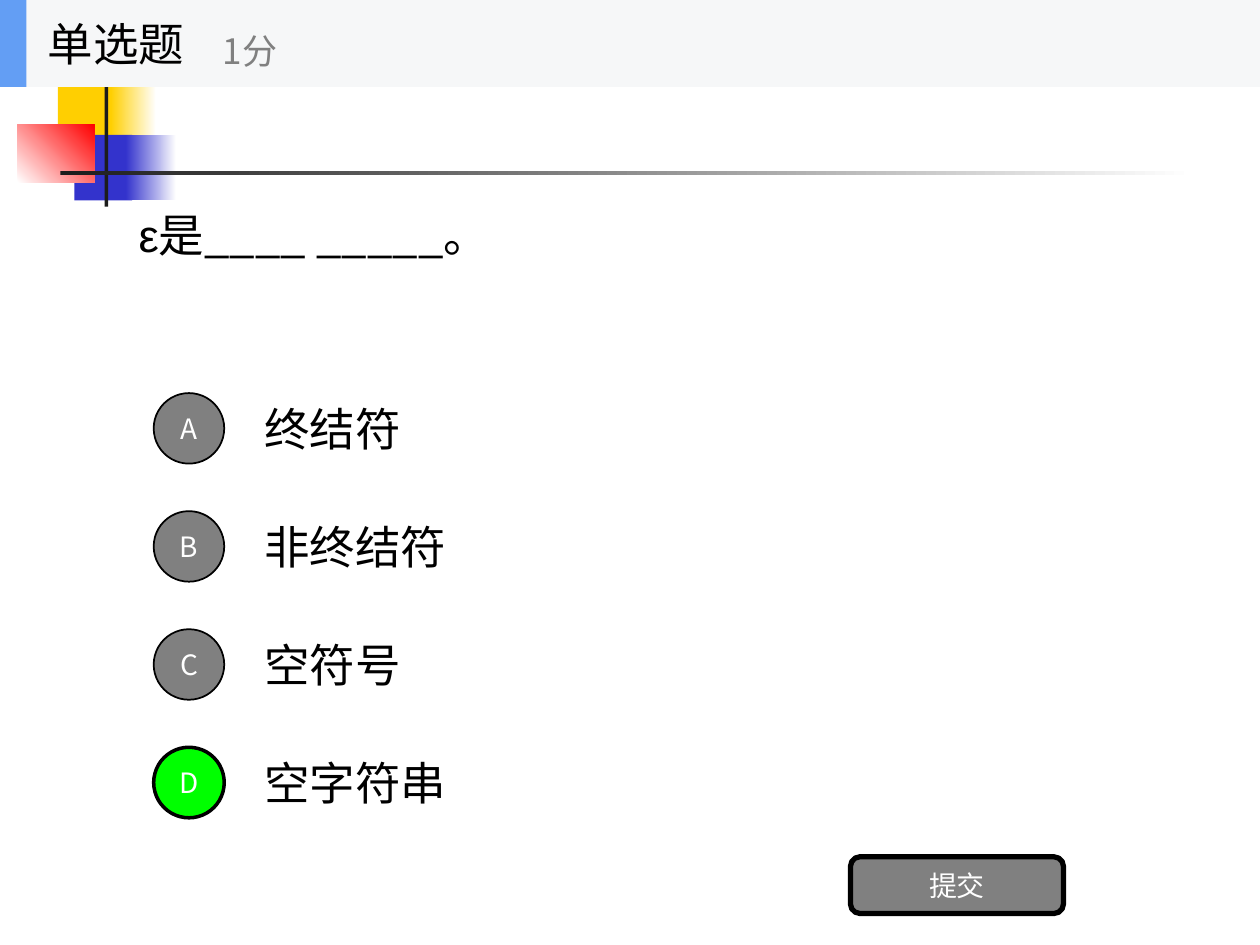
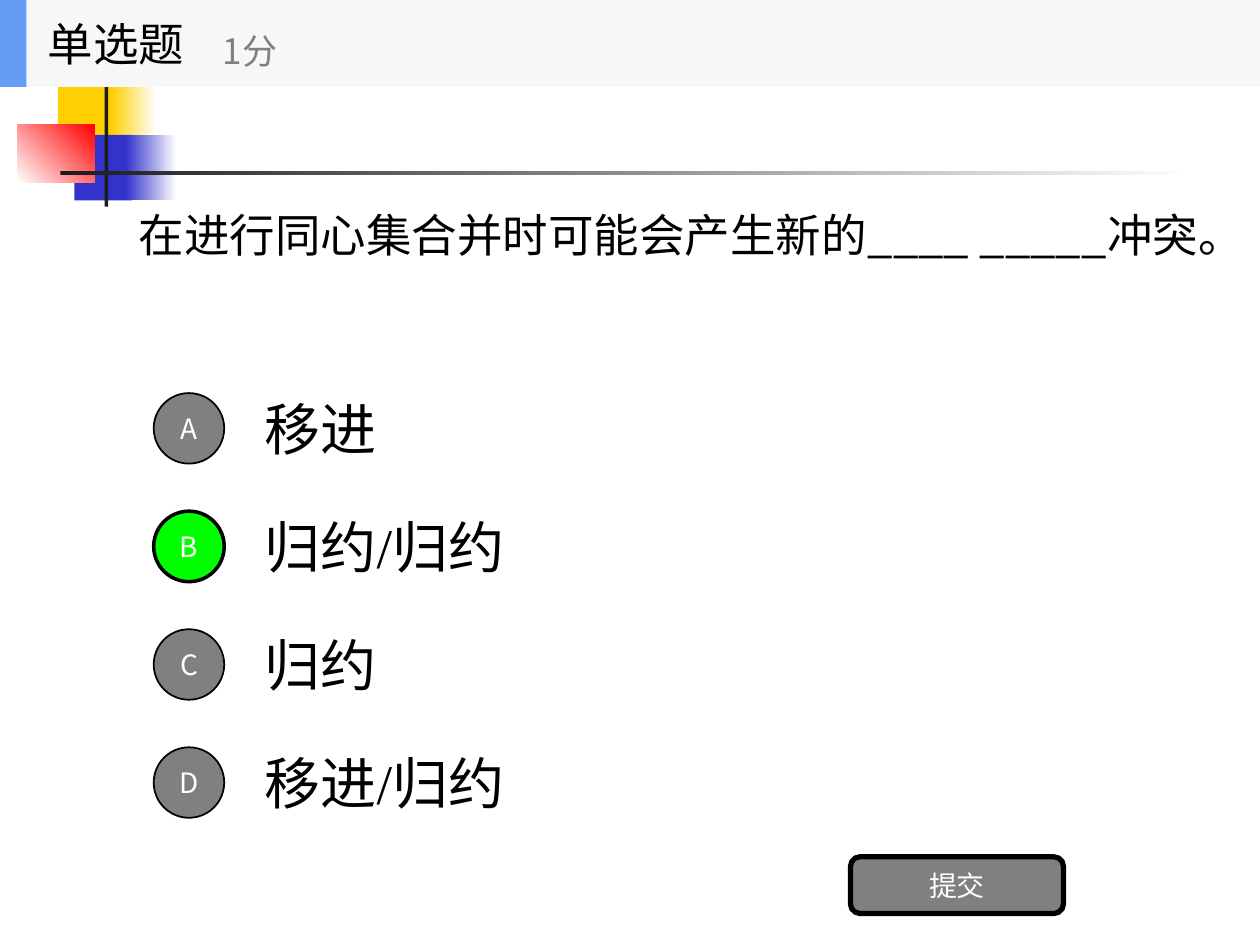
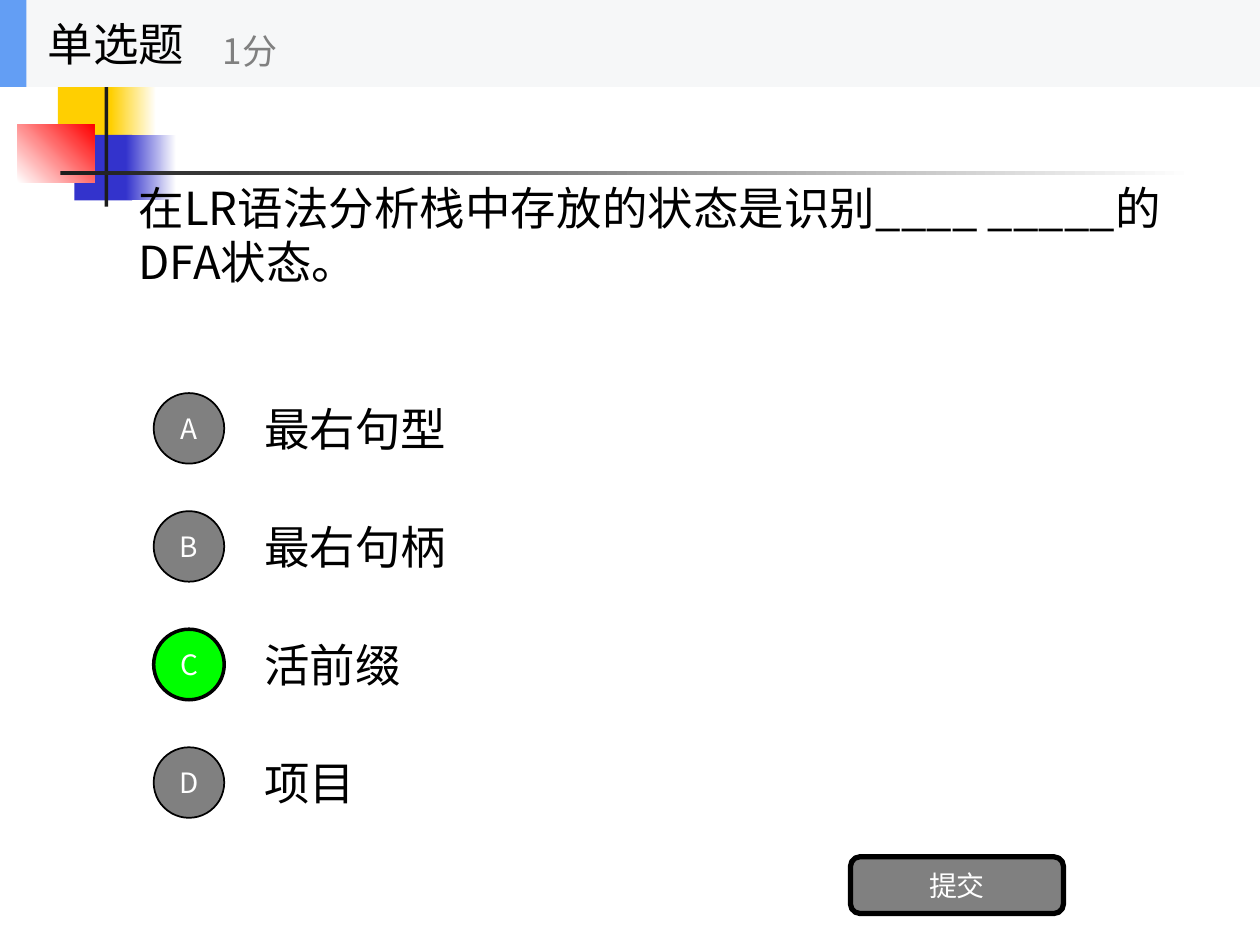
from typing import NamedTuple

from lxml import etree
from pptx import Presentation
from pptx.dml.color import RGBColor
from pptx.enum.shapes import MSO_SHAPE
from pptx.enum.text import MSO_ANCHOR, MSO_AUTO_SIZE, PP_ALIGN
from pptx.oxml.ns import qn
from pptx.util import Inches, Pt

RECTANGLE = MSO_SHAPE.RECTANGLE
ROUNDED = MSO_SHAPE.ROUNDED_RECTANGLE
OVAL = MSO_SHAPE.OVAL
LEFT, CENTER = PP_ALIGN.LEFT, PP_ALIGN.CENTER
MIDDLE = MSO_ANCHOR.MIDDLE
NO_FIT = MSO_AUTO_SIZE.NONE

BLACK = RGBColor(0x00, 0x00, 0x00)
WHITE = RGBColor(0xFF, 0xFF, 0xFF)
GRAY = RGBColor(0x80, 0x80, 0x80)
GREEN = RGBColor(0x00, 0xFF, 0x00)
YELLOW = RGBColor(0xFF, 0xCF, 0x01)
INDIGO = RGBColor(0x33, 0x33, 0xCC)
RED = RGBColor(0xFF, 0x00, 0x00)
CHARCOAL = RGBColor(0x1C, 0x1C, 0x1C)
BAND_GRAY = RGBColor(0xF6, 0xF7, 0xF8)
BAND_BLUE = RGBColor(0x63, 0x9E, 0xF4)

SANS = "Noto Sans CJK SC"
SERIF = "Times New Roman"
LATIN = "Arial"

SLIDE_WIDTH, SLIDE_HEIGHT = Inches(10), Inches(7.5)
COLUMN, ROW = SLIDE_WIDTH / 100, SLIDE_HEIGHT / 75
TITLE_ONLY = 5
OPTION_TOP, OPTION_PITCH, OPTION_HEIGHT = 30.5, 9.37, 7
BADGE_SIZE = 5.6


class Area(NamedTuple):
    left: float
    top: float
    width: float
    height: float

    def lengths(self) -> tuple[int, int, int, int]:
        return (round(self.left * COLUMN), round(self.top * ROW),
                round(self.width * COLUMN), round(self.height * ROW))


class Ornament(NamedTuple):
    area: Area
    start: RGBColor
    end: RGBColor | None = None
    angle: float = 0


class Span(NamedTuple):
    text: str
    font: str = SANS


class Question(NamedTuple):
    prompt: list[Span]
    options: list[str]
    answer: int
    prompt_width: float = 87.2
    option_font: str = SANS
    option_size: float = 26


ORNAMENTS = [
    Ornament(Area(4.6, 6.1, 4.8, 5.2), YELLOW),
    Ornament(Area(8.8, 6.1, 3.6, 5.2), YELLOW, WHITE),
    Ornament(Area(5.9, 10.7, 4.6, 5.2), INDIGO),
    Ornament(Area(10, 10.7, 4, 5.2), INDIGO, WHITE),
    Ornament(Area(1.4, 9.9, 6.1, 4.6), WHITE, RED, 45),
    Ornament(Area(8.3, 4.9, 0.3, 11.5), CHARCOAL),
    Ornament(Area(4.8, 13.6, 90, 0.3), CHARCOAL, WHITE),
]

QUESTIONS = [
    Question([Span("ε", LATIN), Span("是____ _____。")],
             ["终结符", "非终结符", "空符号", "空字符串"], 3, prompt_width=80),
    Question([Span("在进行同心集合并时可能会产生新的____ _____冲突。")],
             ["移进", "归约/归约", "归约", "移进/归约"], 1,
             option_font=SERIF, option_size=32),
    Question([Span("在LR语法分析栈中存放的状态是识别____ _____的DFA状态。")],
             ["最右句型", "最右句柄", "活前缀", "项目"], 2),
]


def write_text(box, spans: list[Span], *, size: float, color: RGBColor = BLACK,
               align=LEFT, wrap: bool = True) -> None:
    frame = box.text_frame
    frame.auto_size = NO_FIT
    frame.word_wrap = wrap
    frame.vertical_anchor = MIDDLE
    para = frame.paragraphs[0]
    para.alignment = align
    for span in spans:
        run = para.add_run()
        run.text = span.text
        run.font.size = Pt(size)
        run.font.color.rgb = color
        run.font.name = span.font
    for properties in box.element.iter(qn("a:rPr")):
        properties.set("lang", "zh-CN")
        etree.SubElement(properties, qn("a:ea")).set("typeface", SANS)


def add_label(shapes, area: Area, text: str, *, font: str = SANS,
              size: float = 26, color: RGBColor = BLACK) -> None:
    box = shapes.add_textbox(*area.lengths())
    write_text(box, [Span(text, font)], size=size, color=color)


def add_block(shapes, area: Area, color: RGBColor, *, kind=RECTANGLE,
              outline: float = 0):
    block = shapes.add_shape(kind, *area.lengths())
    block.shadow.inherit = False
    block.fill.solid()
    block.fill.fore_color.rgb = color
    if outline:
        block.line.color.rgb = BLACK
        block.line.width = Pt(outline)
    else:
        block.line.fill.background()
    return block


def add_button(shapes, area: Area, text: str, *, kind, color: RGBColor,
               outline: float) -> None:
    button = add_block(shapes, area, color, kind=kind, outline=outline)
    write_text(button, [Span(text)], size=16, color=WHITE, align=CENTER, wrap=False)


def add_ornament(shapes, ornament: Ornament) -> None:
    block = add_block(shapes, ornament.area, ornament.start)
    if ornament.end is not None:
        block.fill.gradient()
        block.fill.gradient_angle = ornament.angle
        for stop, color in zip(block.fill.gradient_stops, (ornament.start, ornament.end)):
            stop.color.rgb = color


def add_prompt(slide, question: Question) -> None:
    title = slide.shapes.title
    title.element.getparent().append(title.element)
    area = Area(10, 6.9, question.prompt_width, 23.4)
    title.left, title.top, title.width, title.height = area.lengths()
    write_text(title, question.prompt, size=26)


def add_options(shapes, question: Question) -> None:
    for index, option in enumerate(question.options):
        top = OPTION_TOP + index * OPTION_PITCH
        add_label(shapes, Area(20, top, 70, OPTION_HEIGHT), option,
                  font=question.option_font, size=question.option_size)
        correct = index == question.answer
        badge_top = top + (OPTION_HEIGHT - BADGE_SIZE) / 2
        add_button(shapes, Area(12.2, badge_top, BADGE_SIZE, BADGE_SIZE), "ABCD"[index],
                   kind=OVAL, color=GREEN if correct else GRAY,
                   outline=2 if correct else 1)


def add_header(shapes) -> None:
    header = shapes.add_group_shape().shapes
    add_block(header, Area(0, 0, 100, 6.9), BAND_GRAY)
    add_block(header, Area(0, 0, 2.1, 6.9), BAND_BLUE)
    add_label(header, Area(2.8, 0, 20.8, 6.9), "单选题")
    add_label(header, Area(16.7, 1.2, 25, 5.6), "1分", size=20, color=GRAY)


def add_question(deck, question: Question) -> None:
    slide = deck.slides.add_slide(deck.slide_layouts[TITLE_ONLY])
    for ornament in ORNAMENTS:
        add_ornament(slide.shapes, ornament)
    add_prompt(slide, question)
    add_options(slide.shapes, question)
    add_button(slide.shapes, Area(67.5, 68, 16.9, 4.5), "提交",
               kind=ROUNDED, color=GRAY, outline=3)
    add_header(slide.shapes)


def main() -> None:
    deck = Presentation()
    deck.slide_width, deck.slide_height = SLIDE_WIDTH, SLIDE_HEIGHT
    for question in QUESTIONS:
        add_question(deck, question)
    deck.save("out.pptx")


if __name__ == "__main__":
    main()
